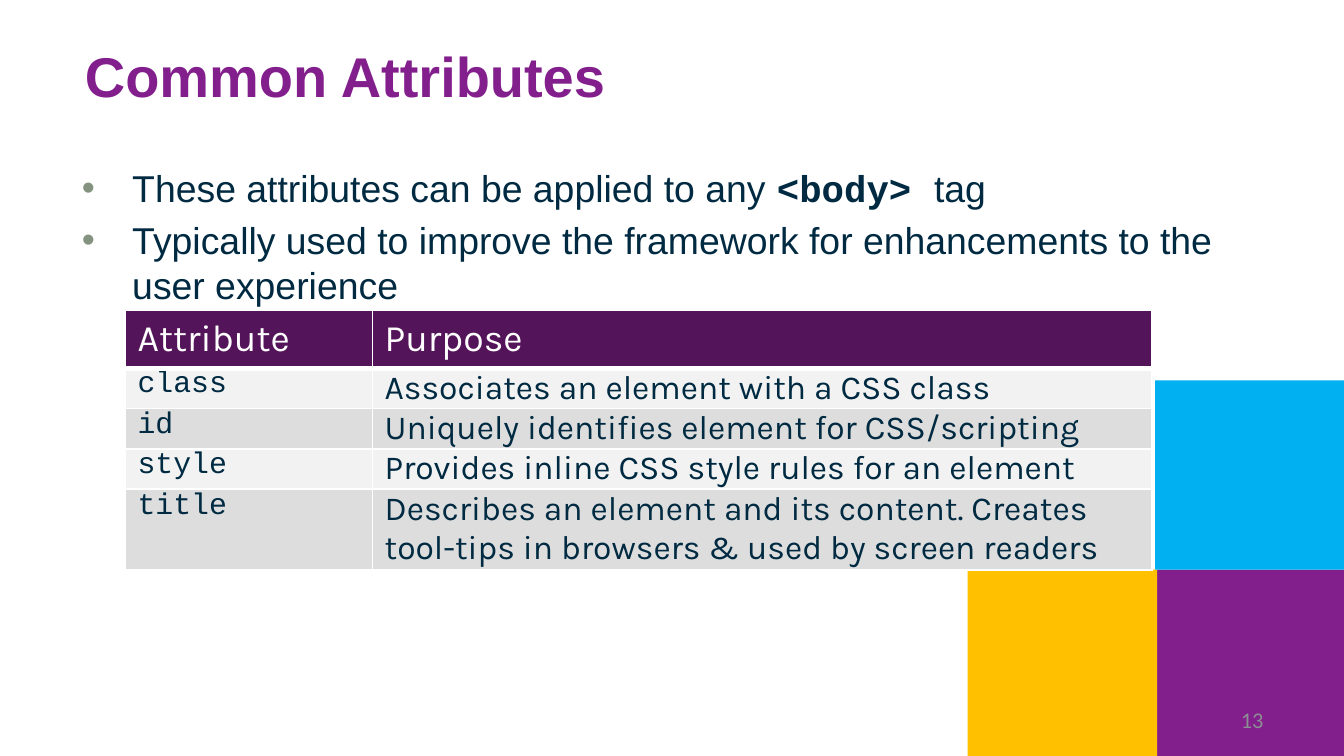
from lxml.etree import SubElement
from pptx import Presentation
from pptx.dml.color import RGBColor
from pptx.enum.shapes import MSO_SHAPE
from pptx.enum.text import MSO_ANCHOR, MSO_AUTO_SIZE, PP_ALIGN
from pptx.oxml.ns import qn
from pptx.util import Cm, Pt

PURPLE = RGBColor(0x83, 0x1F, 0x8D)
PLUM = RGBColor(0x54, 0x14, 0x5A)
YELLOW = RGBColor(0xFF, 0xC0, 0x00)
BLUE = RGBColor(0x00, 0xB0, 0xF0)
NAVY = RGBColor(0x00, 0x2A, 0x41)
SAGE = RGBColor(0x83, 0x93, 0x7F)
GREY = RGBColor(0x8C, 0x8E, 0x93)
WHITE = RGBColor(0xFF, 0xFF, 0xFF)
BANDS = (RGBColor(0xF2, 0xF2, 0xF2), RGBColor(0xDD, 0xDD, 0xDD))

BULLETS = [
    [("These attributes can be applied to any ", False), ("<body> ", True), ("tag", False)],
    [("Typically used to improve the framework for enhancements to the user experience", False)],
]
ATTRIBUTES = [
    ("Attribute", "Purpose"),
    ("class", "Associates an element with a CSS class"),
    ("id", "Uniquely identifies element for CSS/scripting"),
    ("style", "Provides inline CSS style rules for an element"),
    ("title", "Describes an element and its content. Creates tool-tips in browsers & used by screen readers"),
]


class SlideBuilder:
    text_font = "Arial"
    code_font = "Courier New"
    table_font = "Karla"
    number_font = "Calibri"

    def __init__(self, slide):
        self.slide = slide

    def style(self, paragraph, name, size, color, bold=False):
        font = paragraph.font
        font.name, font.size, font.bold = name, Pt(size), bold
        font.color.rgb = color

    def title(self, text, left, top, width, height):
        title = self.slide.shapes.title
        title.left, title.top, title.width, title.height = map(Cm, (left, top, width, height))
        frame = title.text_frame
        frame.text = text
        frame.auto_size = MSO_AUTO_SIZE.NONE
        frame.vertical_anchor = MSO_ANCHOR.MIDDLE
        heading = frame.paragraphs[0]
        heading.alignment = PP_ALIGN.LEFT
        self.style(heading, self.text_font, 30, PURPLE, True)

    def square(self, left, top, side, color):
        square = self.slide.shapes.add_shape(
            MSO_SHAPE.RECTANGLE, Cm(left), Cm(top), Cm(side), Cm(side))
        square.shadow.inherit = False
        square.fill.solid()
        square.fill.fore_color.rgb = color
        square.line.fill.background()

    def text_frame(self, left, top, width, height):
        frame = self.slide.shapes.add_textbox(*map(Cm, (left, top, width, height))).text_frame
        frame.word_wrap = True
        return frame

    def bullets(self, items, left, top, width, height):
        frame = self.text_frame(left, top, width, height)
        for index, item in enumerate(items):
            bullet = frame.add_paragraph() if index else frame.paragraphs[0]
            bullet.space_before = Pt(4)
            properties = bullet._p.get_or_add_pPr()
            properties.set("marL", str(Cm(0.95)))
            properties.set("indent", str(-Cm(0.95)))
            bullet_color = SubElement(properties, qn("a:buClr"))
            SubElement(bullet_color, qn("a:srgbClr"), val=str(SAGE))
            SubElement(properties, qn("a:buFont"), typeface=self.text_font)
            SubElement(properties, qn("a:buChar"), char="•")
            self.style(bullet, self.text_font, 20, NAVY)
            for text, is_code in item:
                run = bullet.add_run()
                run.text = text
                if is_code:
                    run.font.name = self.code_font
                    run.font.bold = True

    def page_number(self, text, left, top, width, height):
        frame = self.text_frame(left, top, width, height)
        frame.vertical_anchor = MSO_ANCHOR.MIDDLE
        number = frame.paragraphs[0]
        number.text = text
        number.alignment = PP_ALIGN.RIGHT
        self.style(number, self.number_font, 12, GREY)

    def borders(self, cell, bottom):
        properties = cell._tc.get_or_add_tcPr()
        for side, width in (("L", 1), ("R", 1), ("T", 1), ("B", bottom)):
            border = SubElement(properties, qn(f"a:ln{side}"), w=str(Pt(width)))
            fill = SubElement(border, qn("a:solidFill"))
            SubElement(fill, qn("a:srgbClr"), val=str(WHITE))

    def cell(self, cell, text, is_header, is_code, fill):
        cell.margin_left = cell.margin_right = Cm(0.23)
        cell.margin_top = cell.margin_bottom = Cm(0.12 if is_header else 0)
        self.borders(cell, 3 if is_header else 1)
        cell.fill.solid()
        cell.fill.fore_color.rgb = fill
        entry = cell.text_frame.paragraphs[0]
        entry.text = text
        if is_header:
            self.style(entry, self.table_font, 20, WHITE)
        elif is_code:
            self.style(entry, self.code_font, 16, NAVY)
        else:
            self.style(entry, self.table_font, 18, NAVY)

    def table(self, rows, left, top, widths, heights):
        table = self.slide.shapes.add_table(
            len(rows), len(widths), Cm(left), Cm(top), Cm(sum(widths)), Cm(sum(heights))).table
        table.horz_banding = False
        for column, width in zip(table.columns, widths):
            column.width = Cm(width)
        for r, (texts, height) in enumerate(zip(rows, heights)):
            table.rows[r].height = Cm(height)
            fill = BANDS[(r - 1) % 2] if r else PLUM
            for c, text in enumerate(texts):
                self.cell(table.cell(r, c), text, r == 0, c == 0, fill)


def main():
    presentation = Presentation()
    presentation.slide_width, presentation.slide_height = Cm(25.4), Cm(14.29)
    builder = SlideBuilder(presentation.slides.add_slide(presentation.slide_layouts[5]))
    side = 3.58
    builder.square(21.87, 10.77, side, PURPLE)
    builder.square(21.87 - side, 10.77, side, YELLOW)
    builder.square(21.83, 10.77 - side, side, BLUE)
    builder.title("Common Attributes", 1.35, 0.36, 19.58, 2.13)
    builder.bullets(BULLETS, 1.3, 3, 22, 3.23)
    builder.page_number("13", 18.21, 13.23, 5.92, 0.76)
    builder.table(ATTRIBUTES, 2.37, 5.87, (4.67, 14.73), (0.91, 0.64, 0.64, 0.64, 1.24))
    presentation.save("out.pptx")


if __name__ == "__main__":
    main()
